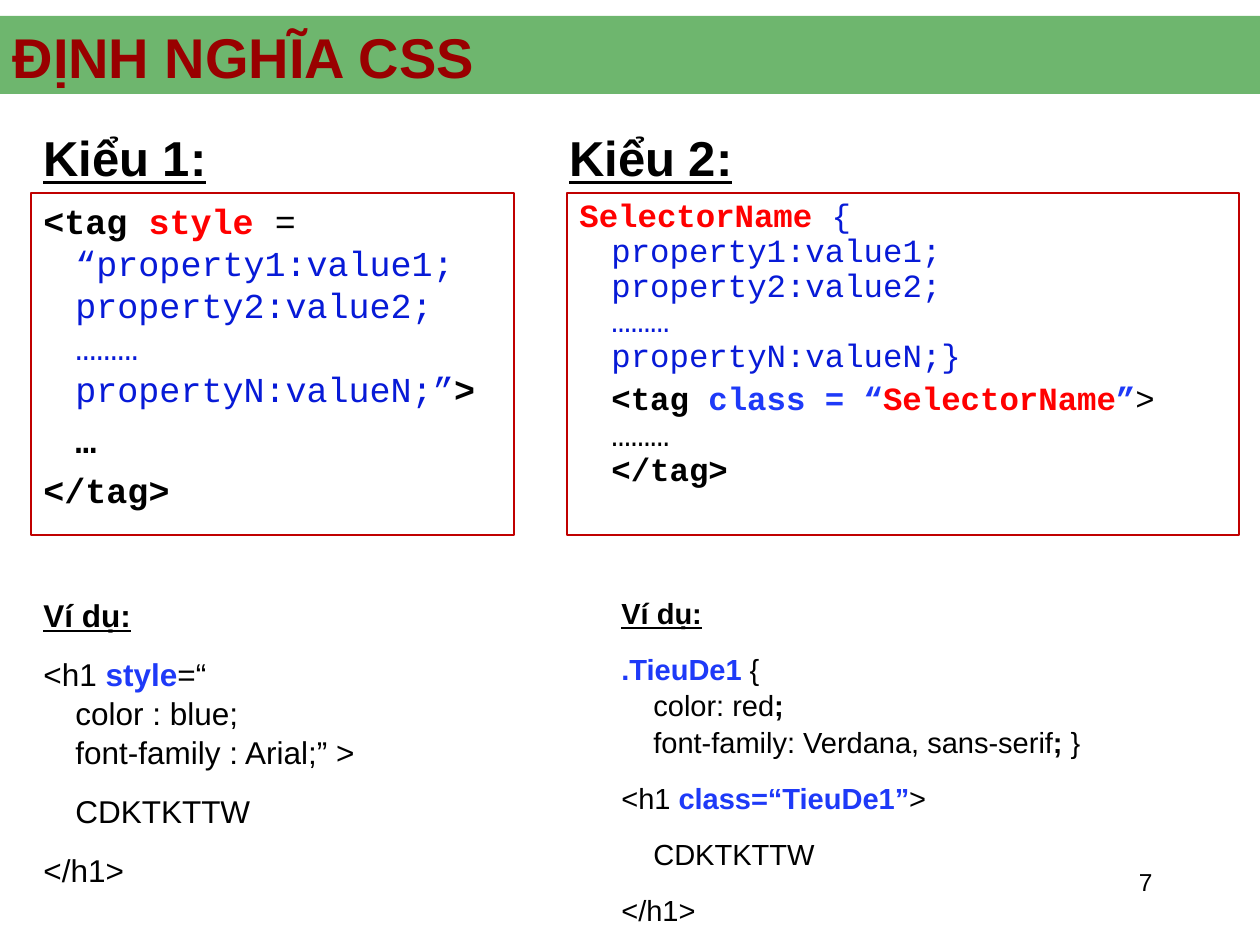
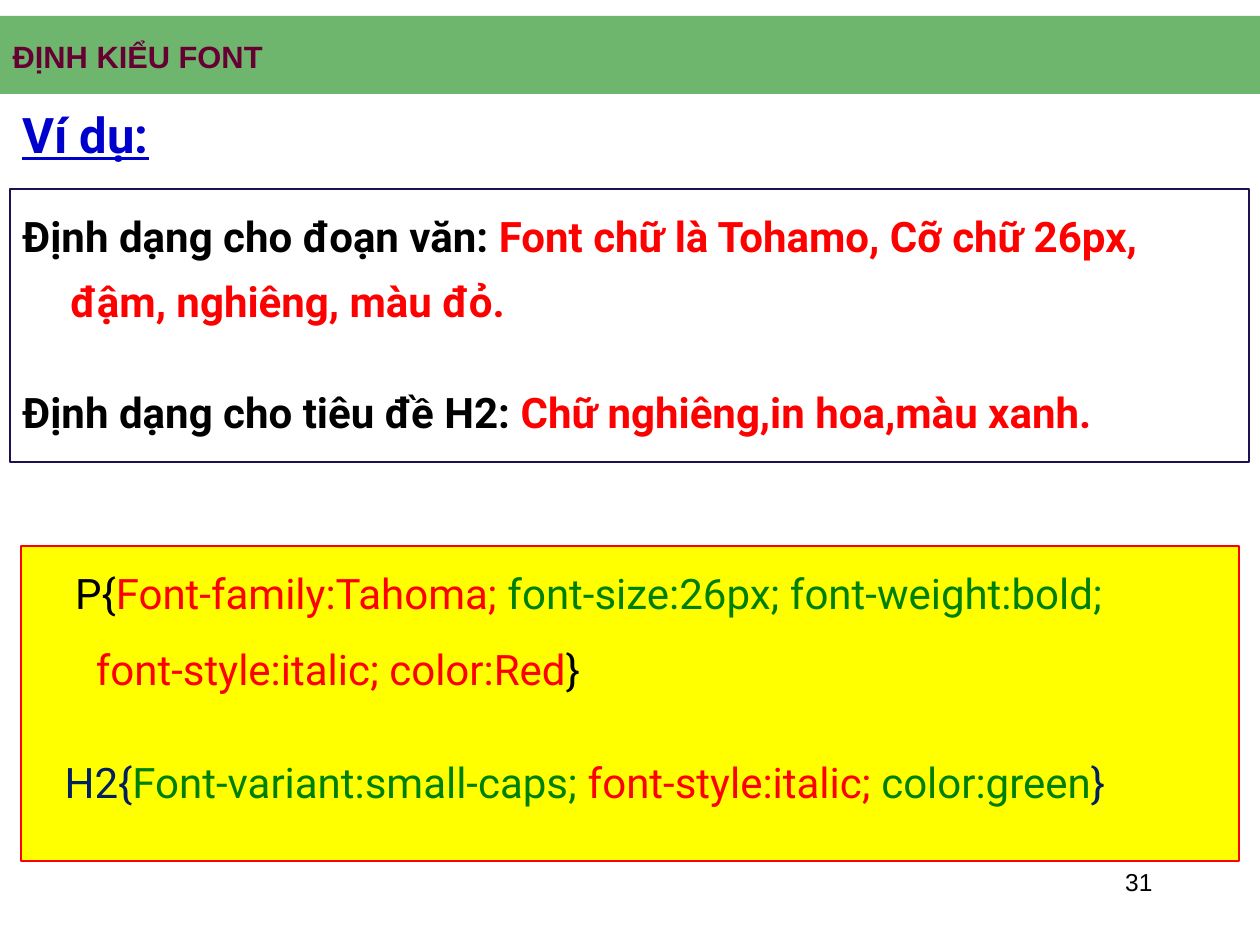
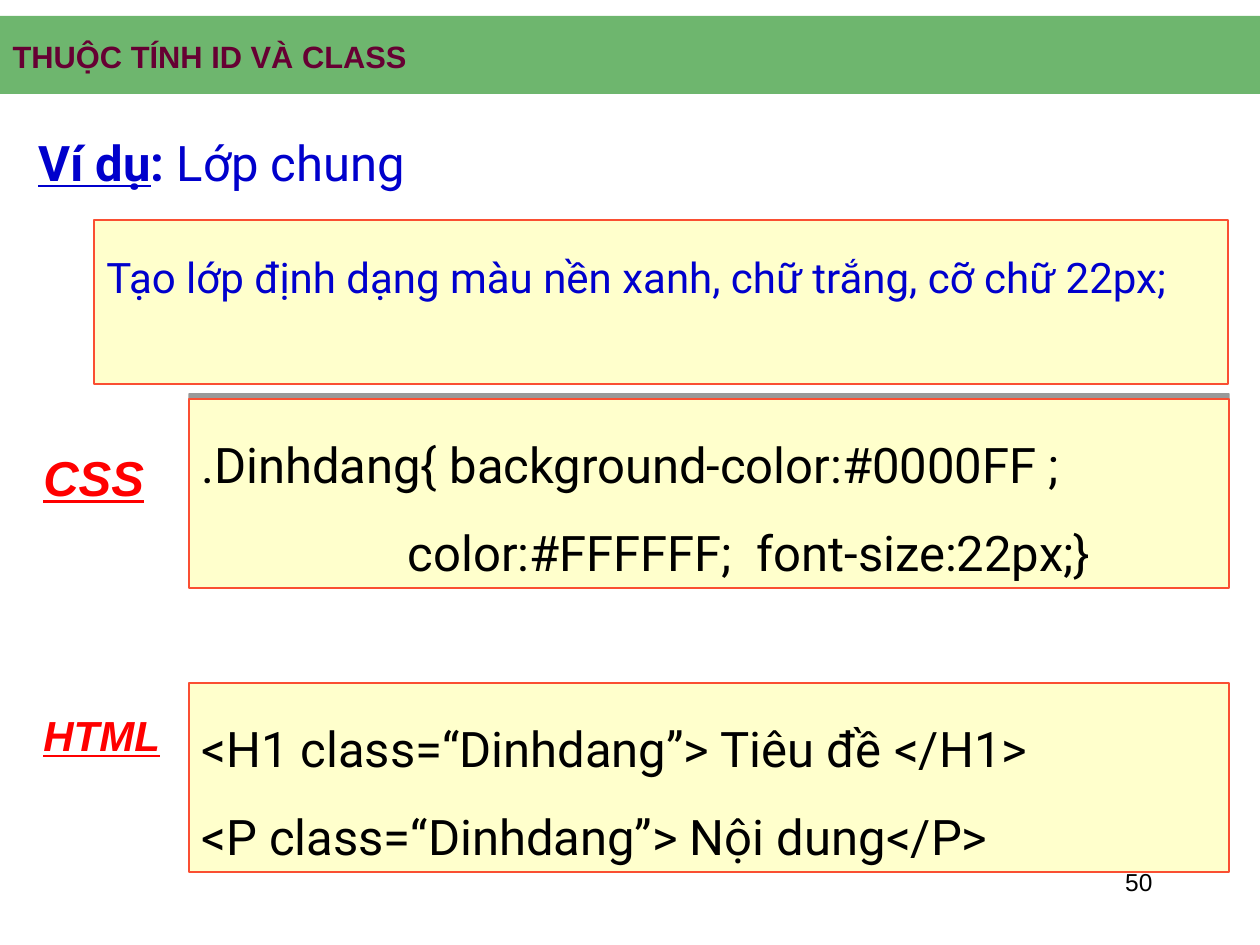
"""Build three slides of a CSS lesson: definitions, font styling, id and class."""
import dataclasses

import lxml.etree
import pptx
import pptx.dml.color
import pptx.enum.shapes
import pptx.enum.text
import pptx.oxml.ns
import pptx.util

SCALE = 914400 / 126
RGB = pptx.dml.color.RGBColor.from_string
RECTANGLE = pptx.enum.shapes.MSO_SHAPE.RECTANGLE
ALIGN = pptx.enum.text.PP_ALIGN
ANCHOR = pptx.enum.text.MSO_ANCHOR
QN = pptx.oxml.ns.qn


@dataclasses.dataclass(frozen=True)
class Theme:
    sans: str = "Arial"
    mono: str = "Courier New"
    text: str = "Roboto"
    black: str = "000000"
    red: str = "FF0000"
    green: str = "008000"
    code_blue: str = "071AD7"
    key_blue: str = "1E3AF8"
    deep_blue: str = "0000CC"
    navy: str = "002060"
    yellow: str = "FFFF00"
    cream: str = "FFFFCC"
    crimson: str = "C00000"
    indigo: str = "201053"
    orange: str = "FA4F32"
    title_red: str = "990000"
    title_plum: str = "660033"
    title_large: float = 32
    title_small: float = 17.6
    heading: float = 28
    body: float = 24
    code: float = 20
    code_small: float = 18.5
    example: float = 18
    example_small: float = 16.6
    number: float = 14


theme = Theme()


def write(frame, paragraphs, font, size, anchor=ANCHOR.TOP, align=ALIGN.LEFT,
          indent=0, hanging=True, **spacing):
    """Fill a text frame; a paragraph is a list of (text, colour, marks) spans."""
    frame.word_wrap = True
    frame.auto_size = pptx.enum.text.MSO_AUTO_SIZE.NONE
    frame.vertical_anchor = anchor
    for index, (options, spans) in enumerate(paragraphs):
        para = frame.paragraphs[0] if index == 0 else frame.add_paragraph()
        formats = {"alignment": align, "space_before": pptx.util.Pt(0), **spacing}
        if index:
            formats["space_before"] = pptx.util.Pt(options.get("before", spacing.get("space_before", 0)))
        else:
            formats["space_before"] = pptx.util.Pt(0)
        for name, value in formats.items():
            setattr(para, name, value)
        if indent:
            first = -indent if options.get("hanging", hanging) else 0
            properties = para._p.get_or_add_pPr()
            properties.set("marL", str(round(indent * SCALE)))
            properties.set("indent", str(round(first * SCALE)))
        for text, colour, marks in spans:
            for row, line in enumerate(text.split("\n")):
                if row:
                    para.add_line_break()
                    mark = lxml.etree.SubElement(para._p[-1], QN("a:rPr"), sz=str(round(size * 100)))
                    lxml.etree.SubElement(mark, QN("a:latin"), typeface=theme.sans)
                if line:
                    span = para.add_run()
                    span.text = line
                    look = {"name": font, "size": pptx.util.Pt(size), "bold": "b" in marks,
                            "italic": "i" in marks, "underline": "u" in marks}
                    for name, value in look.items():
                        setattr(span.font, name, value)
                    span.font.color.rgb = RGB(colour)


def add_box(page, place, paragraphs=(), line=None, fill=None, **style):
    """Add a rectangle when it has a line or fill, else a text box, and write in it."""
    place = [round(length * SCALE) for length in place]
    if line or fill:
        box = page.shapes.add_shape(RECTANGLE, *place)
        box.shadow.inherit = False
    else:
        box = page.shapes.add_textbox(*place)
    if fill:
        box.fill.solid()
        box.fill.fore_color.rgb = RGB(fill)
    else:
        box.fill.background()
    if line:
        box.line.color.rgb = RGB(line)
        box.line.width = pptx.util.Pt(0.75)
    else:
        box.line.fill.background()
    if paragraphs:
        write(box.text_frame, paragraphs, **style)
    return box


deck = pptx.Presentation()
deck.slide_width = round(1260 * SCALE)
deck.slide_height = round(945 * SCALE)

pages = []
for title, size, colour, number in [
    ("ĐỊNH NGHĨA CSS", theme.title_large, theme.title_red, "7"),
    ("ĐỊNH KIỂU FONT", theme.title_small, theme.title_plum, "31"),
    ("THUỘC TÍNH ID VÀ CLASS", theme.title_small, theme.title_plum, "50"),
]:
    page = deck.slides.add_slide(deck.slide_layouts[5])
    band = add_box(page, (0, 16, 1260, 78), fill=theme.green)
    tint = band.fill._xPr.find(".//" + QN("a:srgbClr"))
    lxml.etree.SubElement(tint, QN("a:alpha"), val="57000")
    page.shapes.element.insert(2, band._element)
    heading = page.shapes.title
    for name, length in {"left": 0, "top": 30, "width": 1260, "height": 53}.items():
        setattr(heading, name, round(length * SCALE))
    write(heading.text_frame, [({}, [(title, colour, "b")])], theme.sans, size, ANCHOR.MIDDLE)
    add_box(page, (903, 861, 262, 63), [({}, [(number, theme.black, "")])],
            font=theme.sans, size=theme.number, align=ALIGN.RIGHT)
    pages.append(page)
definition, fonts, classes = pages

for left, label in [(31, "Kiểu 1:"), (557, "Kiểu 2:")]:
    add_box(definition, (left, 105, 557, 88), [({}, [(label, theme.black, "bu")])],
            font=theme.sans, size=theme.heading, anchor=ANCHOR.BOTTOM)

add_box(definition, (31, 193, 483, 342), [
    ({}, [("<tag ", theme.black, "b"), ("style", theme.red, "b"), (" =\n", theme.black, ""),
          ("“property1:value1;\nproperty2:value2;\n………\npropertyN:valueN;”", theme.code_blue, ""),
          (">", theme.black, "b")]),
    ({"hanging": False}, [("…", theme.black, "b")]),
    ({}, [("</tag>", theme.black, "b")]),
], line=theme.crimson, font=theme.mono, size=theme.code, indent=32, space_before=5)

add_box(definition, (567, 193, 672, 342), [
    ({}, [("SelectorName ", theme.red, "b"),
          ("{\nproperty1:value1;\nproperty2:value2;\n………\npropertyN:valueN;}", theme.code_blue, "")]),
    ({"hanging": False}, [
        ("<tag ", theme.black, "b"), ("class = “", theme.key_blue, "b"),
        ("SelectorName", theme.red, "b"), ("”", theme.key_blue, "b"),
        (">\n………\n", theme.black, ""), ("</tag>", theme.black, "b")]),
], line=theme.crimson, font=theme.mono, size=theme.code_small, indent=32, space_before=5,
    line_spacing=0.9)

example_label = ({}, [("Ví dụ:", theme.black, "bu")])
example_end = [({"hanging": False}, [("CDKTKTTW", theme.black, "")]),
               ({}, [("</h1>", theme.black, "")])]
style_example = [
    ({}, [("<h1 ", theme.black, ""), ("style", theme.key_blue, "b"),
          ("=“\ncolor : blue; \nfont-family : Arial;” >", theme.black, "")]),
]
class_example = [
    ({}, [(".TieuDe1 ", theme.key_blue, "b"), ("{\ncolor: red", theme.black, ""),
          ("; \n", theme.black, "b"), ("font-family: Verdana, sans-serif", theme.black, ""),
          ("; ", theme.black, "b"), ("}", theme.black, "")]),
    ({}, [("<h1 ", theme.black, ""), ("class=“TieuDe1”", theme.key_blue, "b"),
          (">", theme.black, "")]),
]
for place, example, size in [
    ((31, 588, 536, 294), style_example, theme.example),
    ((609, 588, 557, 347), class_example, theme.example_small),
]:
    add_box(definition, place, [example_label, *example, *example_end], font=theme.sans, size=size,
            indent=32, space_before=7.9, space_after=pptx.util.Pt(3.4), line_spacing=1.04)

add_box(fonts, (10, 105, 1239, 84), [({}, [("Ví dụ:", theme.deep_blue, "bu")])],
        font=theme.text, size=theme.heading, line_spacing=0.9)

add_box(fonts, (10, 189, 1239, 273), [
    ({}, [("Định dạng cho đoạn văn: ", theme.black, "b"),
          ("Font chữ là Tohamo, Cỡ chữ 26px, đậm, nghiêng, màu đỏ.", theme.red, "b")]),
    ({"before": 26}, [("Định dạng cho tiêu đề H2: ", theme.black, "b"),
                      ("Chữ nghiêng,in hoa,màu xanh.", theme.red, "b")]),
], line=theme.indigo, font=theme.text, size=theme.body, indent=48, line_spacing=1.3)

add_box(fonts, (21, 546, 1218, 315), [
    ({}, [("    P{", theme.black, ""), ("Font-family:Tahoma; ", theme.red, ""),
          ("font-size:26px; font-weight:bold;", theme.green, "")]),
    ({"before": 6}, [("      font-style:italic; color:Red", theme.red, ""), ("}", theme.black, "")]),
    ({"before": 27}, [("   H2{", theme.navy, ""), ("Font-variant:small-caps; ", theme.green, ""),
                      ("font-style:italic; ", theme.red, ""), ("color:green", theme.green, ""),
                      ("}", theme.navy, "")]),
], line=theme.red, fill=theme.yellow, font=theme.text, size=theme.body, indent=48, line_spacing=1.3)

add_box(classes, (26, 126, 417, 72), [
    ({}, [("Ví dụ", theme.deep_blue, "bu"), (": ", theme.deep_blue, "b"),
          ("Lớp chung", theme.deep_blue, "")]),
], font=theme.text, size=theme.heading)

panels = []
for place, lines, colour, size in [
    ((94, 220, 1134, 164), ["Tạo lớp định dạng màu nền xanh, chữ trắng, cỡ chữ 22px;"],
     theme.deep_blue, theme.body),
    ((189, 399, 1040, 189), [".Dinhdang{ background-color:#0000FF ;",
                             "                 color:#FFFFFF;  font-size:22px;}"],
     theme.black, theme.heading),
    ((189, 683, 1040, 189), ["<H1 class=“Dinhdang”> Tiêu đề </H1>",
                             "<P class=“Dinhdang”> Nội dung</P>"],
     theme.black, theme.heading),
]:
    panels.append(add_box(classes, place, [({}, [(line, colour, "")]) for line in lines],
                          line=theme.orange, fill=theme.cream, font=theme.text, size=size,
                          line_spacing=1.5))

effects = panels[1]._element.spPr.find(QN("a:effectLst"))
shadow = lxml.etree.SubElement(effects, QN("a:outerShdw"), blurRad="0", dist="38100",
                               dir="16200000", rotWithShape="0")
shade = lxml.etree.SubElement(shadow, QN("a:srgbClr"), val=theme.black)
lxml.etree.SubElement(shade, QN("a:alpha"), val="40000")

for top, height, label, size in [(441, 72, "CSS", theme.heading), (703, 63, "HTML", theme.body)]:
    add_box(classes, (31, top, 147, height), [({}, [(label, theme.red, "biu")])],
            font=theme.sans, size=size)

deck.save("out.pptx")
